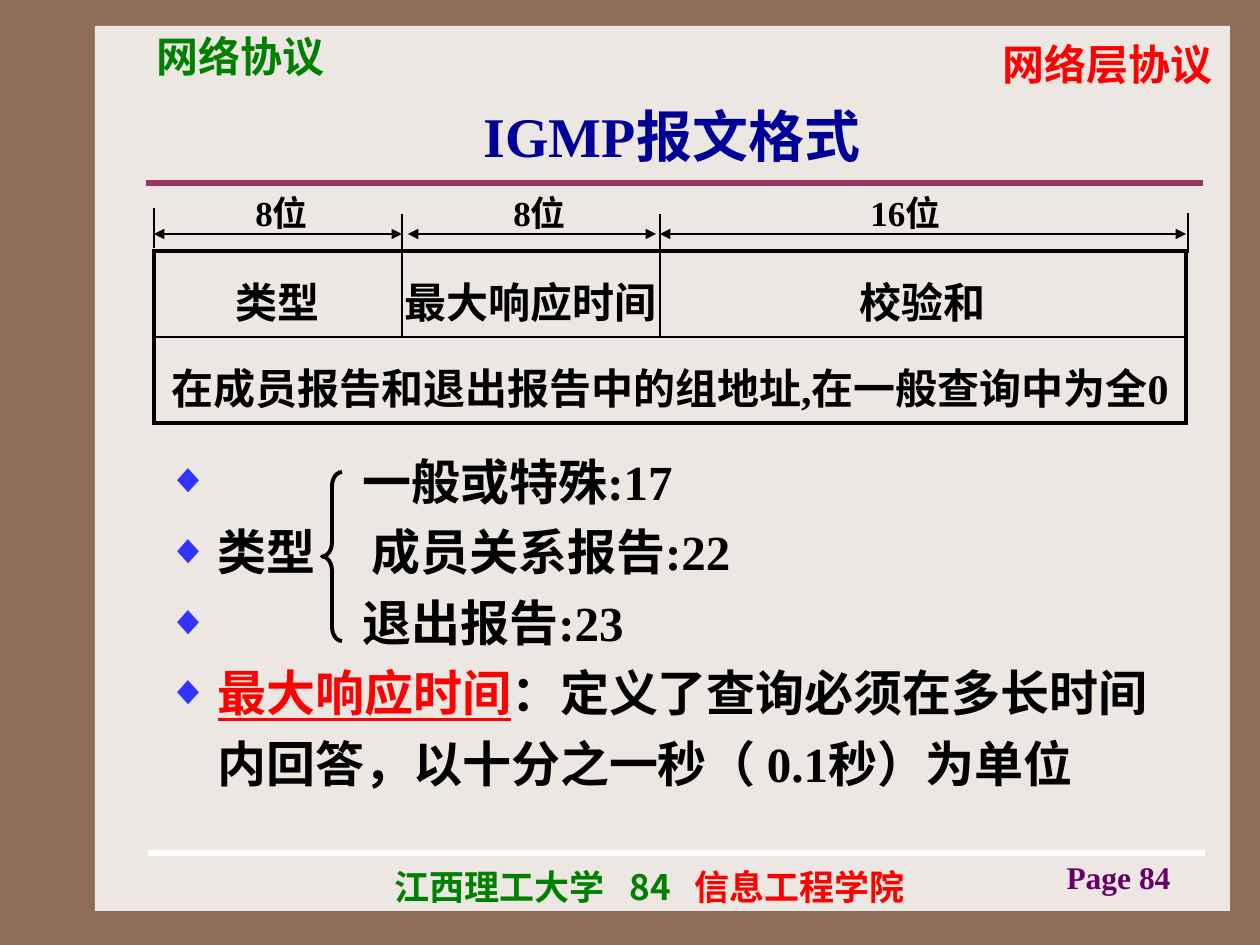
from lxml import etree
from pptx import Presentation
from pptx.dml.color import RGBColor
from pptx.enum.shapes import MSO_CONNECTOR, MSO_SHAPE
from pptx.enum.text import MSO_ANCHOR, MSO_AUTO_SIZE, PP_ALIGN
from pptx.oxml.ns import qn
from pptx.util import Emu, Pt

STRAIGHT = MSO_CONNECTOR.STRAIGHT
RECTANGLE, BRACE = MSO_SHAPE.RECTANGLE, MSO_SHAPE.LEFT_BRACE
LEFT, CENTER, RIGHT = PP_ALIGN.LEFT, PP_ALIGN.CENTER, PP_ALIGN.RIGHT
TOP, MIDDLE = MSO_ANCHOR.TOP, MSO_ANCHOR.MIDDLE
FIXED = MSO_AUTO_SIZE.NONE

BROWN = RGBColor(0x90, 0x6D, 0x58)
PAPER = RGBColor(0xED, 0xE7, 0xE3)
RED = RGBColor(0xFF, 0x00, 0x00)
GREEN = RGBColor(0x00, 0x80, 0x00)
NAVY = RGBColor(0x00, 0x00, 0x99)
PLUM = RGBColor(0x99, 0x33, 0x66)
PURPLE = RGBColor(0x66, 0x00, 0x66)
WHITE = RGBColor(0xFF, 0xFF, 0xFF)
BLACK = RGBColor(0x00, 0x00, 0x00)
BULLET_BLUE = RGBColor(0x33, 0x33, 0xFF)

SERIF, SANS, CJK = "Times New Roman", "Arial", "Noto Sans CJK SC"
PX_PER_INCH = 126
COLUMNS = [(248, "8位", "类型"), (258, "8位", "最大响应时间"), (526, "16位", "校验和")]
GROUP_ADDRESS = "在成员报告和退出报告中的组地址,在一般查询中为全0"
ROW_HEIGHT = 86


def px(length):
    return Emu(round(length * 914400 / PX_PER_INCH))


def add_xml(parent, tag, **attributes):
    return etree.SubElement(parent, qn(tag), attributes)


def set_font(target, name, size, color):
    font = target.font
    font.name, font.size, font.bold = name, Pt(size), True
    font.color.rgb = color


def set_tabs(para, *stops):
    tabs = add_xml(para._p.get_or_add_pPr(), "a:tabLst")
    for stop in stops:
        add_xml(tabs, "a:tab", pos=str(px(stop)), algn="l")


def add_text(page, box, text, name, size, color, align=LEFT):
    shape = page.shapes.add_textbox(*map(px, box))
    shape.text_frame.word_wrap = True
    para = shape.text_frame.paragraphs[0]
    para.text, para.alignment = text, align
    set_font(para, name, size, color)
    return para


def add_line(page, start, end, color, width, arrows=False):
    line = page.shapes.add_connector(STRAIGHT, *map(px, start + end))
    line.line.color.rgb = color
    line.line.width = Pt(width)
    if arrows:
        outline = line.line._get_or_add_ln()
        for tag in ("a:headEnd", "a:tailEnd"):
            add_xml(outline, tag, type="triangle")
    add_xml(line._element.spPr, "a:effectLst")


def add_frame(page, left, top, width, height):
    page.background.fill.solid()
    page.background.fill.fore_color.rgb = BROWN
    paper = page.shapes.add_shape(RECTANGLE, *map(px, (left, top, width, height)))
    paper.shadow.inherit = False
    paper.fill.solid()
    paper.fill.fore_color.rgb = PAPER
    paper.line.fill.background()
    add_text(page, (left + 49, top - 2, 328, 73), "网络协议", SANS, 24, GREEN)
    add_text(page, (left + 546, top + 6, 584, 73), "网络层协议", SANS, 24, RED, RIGHT)
    add_line(page, (left + 51, top + 157), (left + 1108, top + 157), PLUM, 3)
    add_line(page, (left + 53, top + 827), (left + 1110, top + 827), WHITE, 3)
    footer = add_text(page, (left + 287, top + 833, 556, 54),
                      "江西理工大学\t84\t", CJK, 20, GREEN)
    set_tabs(footer, 235, 300)
    college = footer.add_run()
    college.text = "信息工程学院"
    college.font.color.rgb = RED
    add_text(page, (left + 910, top + 826, 178, 44), "Page 84", SERIF, 18, PURPLE, RIGHT)


def place(shape, box, anchor):
    shape.left, shape.top, shape.width, shape.height = map(px, box)
    frame = shape.text_frame
    frame.auto_size, frame.vertical_anchor, frame.word_wrap = FIXED, anchor, True
    return frame


def fill_title(page, box):
    para = place(page.shapes.title, box, MIDDLE).paragraphs[0]
    para.text, para.alignment = "IGMP报文格式", CENTER
    set_font(para, SERIF, 32, NAVY)


def set_borders(cell, widths):
    properties = cell._tc.get_or_add_tcPr()
    for side, width in widths.items():
        border = add_xml(properties, f"a:ln{side}", w=str(Pt(width)))
        fill = add_xml(border, "a:solidFill")
        add_xml(fill, "a:srgbClr", val=str(BLACK))
    cell.fill.background()


def add_format_table(page, left, top):
    widths = [width for width, _, _ in COLUMNS]
    box = (left, top, sum(widths), 2 * ROW_HEIGHT)
    table = page.shapes.add_table(2, len(COLUMNS), *map(px, box)).table
    table.first_row = table.horz_banding = False
    for column, width in zip(table.columns, widths):
        column.width = px(width)
    table.cell(1, 0).merge(table.cell(1, len(COLUMNS) - 1))
    texts = [[name for _, _, name in COLUMNS], [GROUP_ADDRESS]]
    for row, row_texts in enumerate(texts):
        for column, text in enumerate(row_texts):
            cell = table.cell(row, column)
            cell.margin_left = cell.margin_right = 0
            para = cell.text_frame.paragraphs[0]
            para.text, para.alignment, para.line_spacing = text, CENTER, 1.2
            set_font(para, SERIF, 24, BLACK)
        for column in range(len(COLUMNS)):
            outer_left = row or column == 0
            outer_right = row or column == len(COLUMNS) - 1
            set_borders(table.cell(row, column), {
                "L": 2.25 if outer_left else 1, "R": 2.25 if outer_right else 1,
                "T": 1 if row else 2.25, "B": 2.25 if row else 1})


def add_bit_ruler(page, left, top):
    ticks = [(left, top), (left + 248, top + 6), (left + 506, top + 6), (left + 1034, top + 5)]
    for x, y in ticks:
        add_line(page, (x, y), (x, y + 40), BLACK, 0.75)
    spans = [(0, 248, 89), (254, 502, 347), (506, 1032, 704)]
    for (start, end, label_left), (_, bits, _) in zip(spans, COLUMNS):
        add_line(page, (left + start, top + 26), (left + end, top + 26), BLACK, 0.75, True)
        add_text(page, (left + label_left, top - 23, 129, 54), bits, SERIF, 20, BLACK)


def fill_body(page, left, top):
    frame = place(page.placeholders[1], (left, top, 1050, 387), TOP)
    items = [("\t一般或特殊:17", 195), ("类型\t成员关系报告:22", 204), ("\t退出报告:23", 195),
             ("最大响应时间", None)]
    for index, (text, stop) in enumerate(items):
        para = frame.add_paragraph() if index else frame.paragraphs[0]
        para.text, para.line_spacing, para.space_before = text, 1.2, Pt(0)
        set_font(para, SERIF, 28, BLACK)
        properties = para._p.get_or_add_pPr()
        properties.set("marL", str(px(50)))
        properties.set("indent", str(px(-50)))
        color = add_xml(properties, "a:buClr")
        add_xml(color, "a:srgbClr", val=str(BULLET_BLUE))
        add_xml(properties, "a:buSzPct", val="85000")
        add_xml(properties, "a:buChar", char="◆")
        if stop:
            set_tabs(para, stop)
    term = para.runs[0]
    term.font.color.rgb, term.font.underline = RED, True
    definition = para.add_run()
    definition.text = "：定义了查询必须在多长时间内回答，以十分之一秒（ 0.1秒）为单位"
    brace = page.shapes.add_shape(BRACE, *map(px, (left + 167, top + 39, 20, 169)))
    brace.shadow.inherit = False
    brace.adjustments[0] = 0.71
    brace.fill.background()
    brace.line.color.rgb = BLACK
    brace.line.width = Pt(2.25)


def main():
    deck = Presentation()
    deck.slide_width, deck.slide_height = px(1260), px(945)
    page = deck.slides.add_slide(deck.slide_layouts[1])
    add_frame(page, 95, 26, 1135, 885)
    fill_title(page, (147, 95, 1050, 81))
    add_format_table(page, 154, 251)
    add_bit_ruler(page, 154, 208)
    fill_body(page, 155, 433)
    for placeholder in (page.shapes.title, page.placeholders[1]):
        page.shapes._spTree.append(placeholder._element)
    deck.save("out.pptx")


if __name__ == "__main__":
    main()
